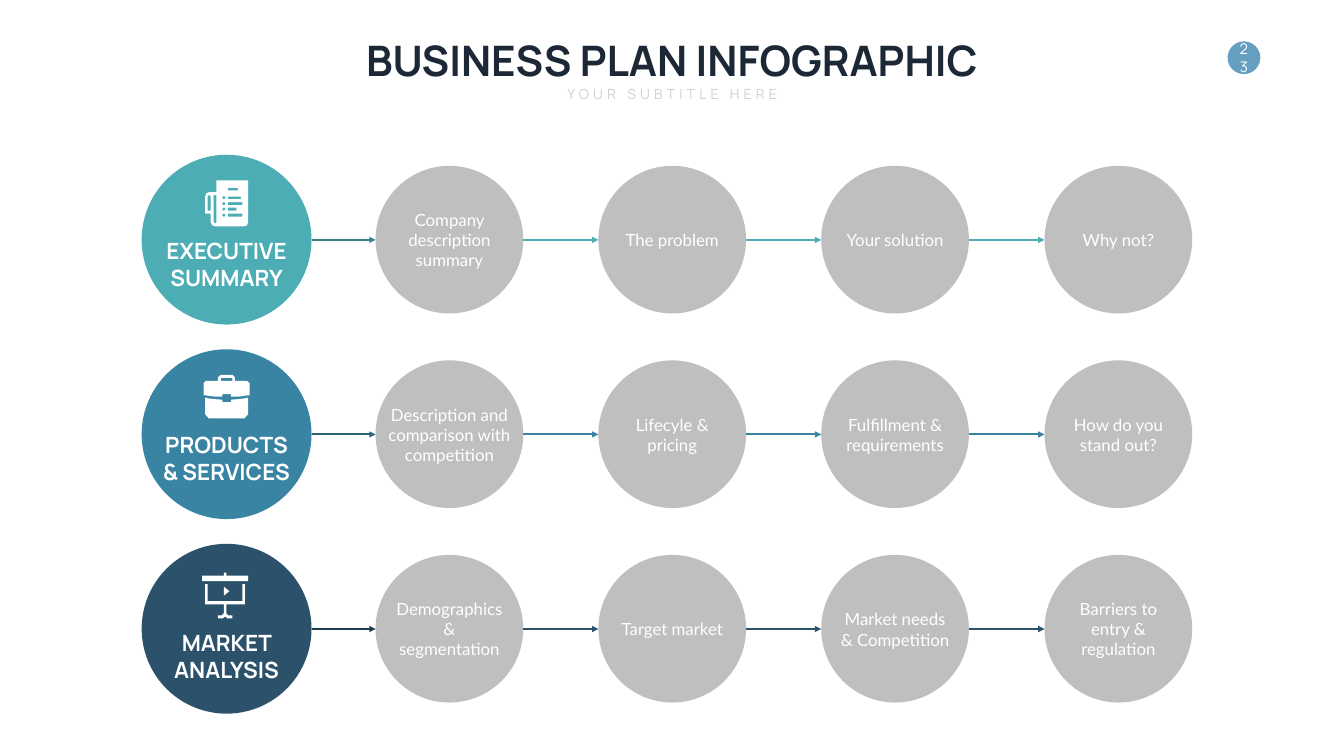
from pptx import Presentation
from pptx.dml.color import RGBColor
from pptx.enum.shapes import MSO_CONNECTOR as CONN, MSO_SHAPE as SHAPE
from pptx.enum.text import MSO_ANCHOR as ANCHOR, PP_ALIGN as ALIGN
from pptx.oxml.ns import qn
from pptx.util import Emu, Pt
from lxml.etree import SubElement

PX = 9144  # EMU in one px, 100 px to the inch
WHITE, GREY = "FFFFFF", "BFBFBF"
HEAD_FONT, BODY_FONT = "Manrope", "Lato"

BIG, SMALL = 337, 293  # circle diameters
BIG_X, SMALL_X, SMALL_SPAN = 281, 745, 1327
FIRST_ROW, ROW_STEP = 476, 386
LINE_H, INSET_H = 41, 9


def rgb(value):
    return RGBColor.from_string(value)


def rect(left, top, right, bottom):
    return [(left, top), (right, top), (right, bottom), (left, bottom)]


def dot(x, y):
    offsets = [(3, 1), (1, 3), (-1, 3), (-3, 1), (-3, -1), (-1, -3), (1, -3), (3, -1)]
    return [(x + dx, y + dy) for dx, dy in offsets]


NEWSPAPER = [
    [(429, 358), (429, 381), (415, 381), (409, 384), (407, 390), (407, 424),
     (418, 424), (418, 441), (421, 447), (427, 449), (484, 449), (490, 447),
     (492, 441), (492, 358)],
    [(429, 441), (427, 444), (424, 441), (424, 390), (423, 387), (429, 387)],
    [(418, 418), (412, 418), (412, 390), (413, 388), (415, 387), (417, 388), (418, 390)],
    rect(452, 373, 472, 378),
    rect(452, 390, 478, 395),
    rect(452, 401, 481, 407),
    rect(452, 412, 469, 418),
    rect(452, 424, 481, 430),
    *[dot(444, y) for y in (392, 404, 415, 427)],
]
BRIEFCASE = [
    [(407, 789), (410, 790), (425, 792), (441, 793), (441, 798), (458, 798),
     (458, 793), (473, 792), (488, 790), (492, 789), (492, 822), (485, 830),
     (414, 830), (407, 822)],
    [(439, 750), (438, 751), (438, 756), (461, 756), (461, 751), (460, 750)],
    [(437, 744), (462, 744), (466, 749), (466, 756), (490, 756), (495, 760),
     (495, 784), (487, 785), (473, 787), (458, 787), (458, 782), (441, 782),
     (441, 787), (426, 787), (412, 785), (404, 784), (404, 760), (408, 756),
     (432, 756), (432, 749)],
]
BOARD = [
    [(444, 1164), (455, 1173), (444, 1182)],
    [(407, 1159), (412, 1159), (412, 1193), (481, 1193), (481, 1159), (486, 1159),
     (486, 1199), (449, 1199), (449, 1217), (453, 1221), (461, 1221), (461, 1227),
     (451, 1227), (447, 1223), (442, 1227), (432, 1227), (432, 1221), (440, 1221),
     (444, 1217), (444, 1199), (407, 1199)],
    [(444, 1136), (449, 1136), (449, 1142), (492, 1142), (492, 1153), (401, 1153),
     (401, 1142), (444, 1142)],
]

# heading, heading top, colour, first arrow colour, icon, steps as (text, lines, box width)
ROWS = [
    ("EXECUTIVE SUMMARY", 465, "4DADB5", "398389", NEWSPAPER,
     [("Company description summary", 3, 237), ("The problem", 1, 237),
      ("Your solution", 1, 237), ("Why not?", 1, 237)]),
    ("PRODUCTS & SERVICES", 850, "3984A3", "2B637A", BRIEFCASE,
     [("Description and comparison with competition", 3, 293),
      ("Lifecyle & pricing", 2, 237), ("Fulfillment & requirements", 2, 237),
      ("How do you stand out?", 2, 237)]),
    ("MARKET ANALYSIS", 1243, "2B526A", "203D50", BOARD,
     [("Demographics & segmentation", 3, 237), ("Target market", 1, 237),
      ("Market needs & Competition", 2, 237),
      ("Barriers to entry & regulation", 3, 237)]),
]


class Canvas:
    """Holds the current slide and draws styled elements on it."""

    def __init__(self, slide):
        self.shapes = slide.shapes

    def paint(self, s, fill):
        s.shadow.inherit = False
        s.fill.solid()
        s.fill.fore_color.rgb = rgb(fill)
        s.line.fill.background()
        return s

    def circle(self, x, y, size, fill):
        box = [Emu(v * PX) for v in (x, y, size, size)]
        return self.paint(self.shapes.add_shape(SHAPE.OVAL, *box), fill)

    def label(self, s, text, size, font, color, bold=False, wrap=True, middle=False, spacing=0):
        tf = s.text_frame
        tf.word_wrap = wrap
        tf.vertical_anchor = ANCHOR.MIDDLE if middle else ANCHOR.TOP
        p = tf.paragraphs[0]
        p.alignment = ALIGN.CENTER
        r = p.add_run()
        r.text = text
        p.font.size, p.font.name, p.font.bold = Pt(size), font, bold
        p.font.color.rgb = rgb(color)
        if spacing:
            r._r.get_or_add_rPr().set("spc", str(spacing * 100))

    def text(self, x, y, w, h, *args, **style):
        s = self.shapes.add_textbox(*[Emu(v * PX) for v in (x, y, w, h)])
        self.label(s, *args, **style)

    def icon(self, contours, fill=WHITE):
        """Draw all contours as one shape, inner ones becoming holes."""
        builder = self.shapes.build_freeform(*contours[0][0], scale=PX)
        for i, points in enumerate(contours):
            if i:
                builder.move_to(*points[0])
            builder.add_line_segments(points[1:], close=True)
        self.paint(builder.convert_to_shape(), fill)

    def arrow(self, x1, x2, y, color):
        ends = [Emu(v * PX) for v in (x1, y, x2, y)]
        s = self.shapes.add_connector(CONN.STRAIGHT, *ends)
        s.line.width = Pt(3)
        s.line.color.rgb = rgb(color)
        SubElement(s.line._get_or_add_ln(), qn("a:tailEnd"), type="triangle")
        SubElement(s._element.spPr, qn("a:effectLst"))


def draw_row(c, y, heading, heading_top, color, first_arrow, icon, steps):
    c.circle(BIG_X, y - (BIG + 1) // 2, BIG, color)
    c.icon(icon)
    c.text(303, heading_top, 293, 118, heading, 32, HEAD_FONT, WHITE, bold=True)
    start = BIG_X + BIG
    for i, (step, lines, width) in enumerate(steps):
        x = SMALL_X + SMALL_SPAN * i // 3
        height = INSET_H + LINE_H * lines
        c.circle(x, y - (SMALL + 1) // 2, SMALL, GREY)
        c.text(x + (SMALL - width) // 2, y - height // 2, width, height,
               step, 24, BODY_FONT, WHITE, middle=True)
        c.arrow(start, x, y, color if i else first_arrow)
        start = x + SMALL


def main():
    prs = Presentation()
    prs.slide_width, prs.slide_height = Emu(2666 * PX), Emu(1500 * PX)
    c = Canvas(prs.slides.add_slide(prs.slide_layouts[6]))

    badge = c.circle(2435, 82, 65, "659FC0")
    c.label(badge, "23", 21, HEAD_FONT, WHITE, middle=True)
    c.text(702, 64, 1262, 111, "BUSINESS PLAN INFOGRAPHIC", 60, HEAD_FONT, "1C2835",
           bold=True, wrap=False)
    c.text(1112, 164, 443, 44, "YOUR SUBTITLE HERE", 20, HEAD_FONT, "D1D1D1",
           wrap=False, spacing=6)
    for i, row in enumerate(ROWS):
        draw_row(c, FIRST_ROW + ROW_STEP * i, *row)

    prs.save("out.pptx")


if __name__ == "__main__":
    main()
